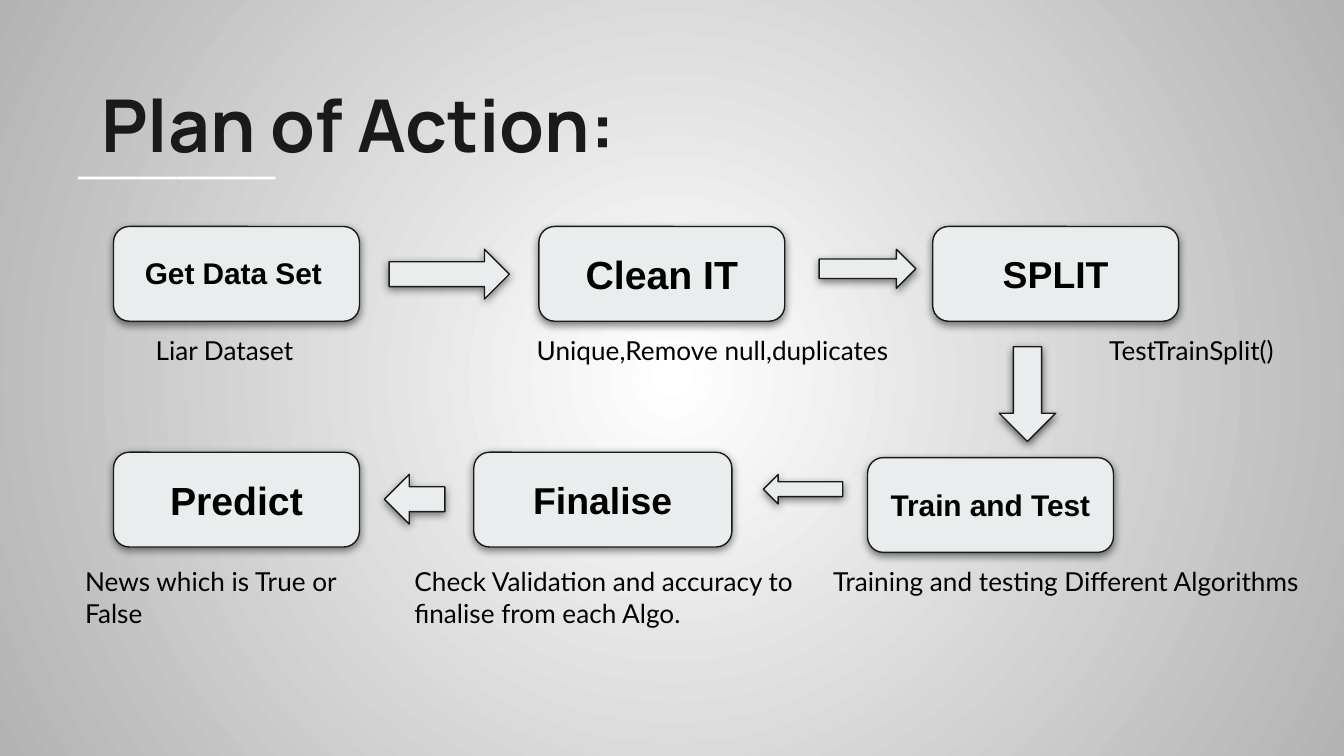
import pptx
import pptx.dml.color
import pptx.enum.shapes
import pptx.enum.text
import pptx.oxml.ns
import pptx.util
from lxml import etree

PX = 4572  # EMU per px, 200 px to the inch
SHAPES = pptx.enum.shapes.MSO_SHAPE
qn = pptx.oxml.ns.qn


def color(hex_code):
    return pptx.dml.color.RGBColor.from_string(hex_code)


class FlowSlide:
    INK, BLACK, PANEL, WHITE, EDGE = "1A1A1A", "000000", "E9EDEE", "FFFFFF", "B3B3B3"
    HEADING, LABEL, NOTE = "Manrope", "Arial", "Lato"

    def __init__(self, deck):
        self.slide = deck.slides.add_slide(deck.slide_layouts[6])

    def radial_background(self):
        fill = self.slide.background.fill
        fill.gradient()
        for stop, shade in zip(fill.gradient_stops, (self.WHITE, self.EDGE)):
            stop.color.rgb = color(shade)
        gradient = self.slide.element.find(".//" + qn("a:gradFill"))
        gradient.remove(gradient.find(qn("a:lin")))
        circle = etree.SubElement(gradient, qn("a:path"), path="circle")
        etree.SubElement(circle, qn("a:fillToRect"), l="50000", t="50000", r="50000", b="50000")

    def _shape(self, kind, box, fill):
        shape = self.slide.shapes.add_shape(kind, *(n * PX for n in box))
        shape.shadow.inherit = False
        shape.fill.solid()
        shape.fill.fore_color.rgb = color(fill)
        return shape

    def _write(self, shape, text, size, font, ink, bold):
        frame = shape.text_frame
        frame.word_wrap = True
        frame.margin_left = frame.margin_right = 20 * PX
        frame.margin_top = frame.margin_bottom = 20 * PX
        paragraph = frame.paragraphs[0]
        paragraph.text = text
        paragraph.font.size = pptx.util.Pt(size)
        paragraph.font.name = font
        paragraph.font.bold = bold
        paragraph.font.color.rgb = color(ink)
        return paragraph

    def bar(self, *box):
        self._shape(SHAPES.RECTANGLE, box, self.WHITE).line.fill.background()

    def panel(self, kind, box, shadow_percent=50):
        shape = self._shape(kind, box, self.PANEL)
        shape.line.color.rgb = color(self.INK)
        shape.line.width = pptx.util.Pt(0.75)
        effects = shape.element.spPr.find(qn("a:effectLst"))
        shadow = etree.SubElement(effects, qn("a:outerShdw"), blurRad="57150", dist="19050",
                                  dir="5400000", algn="bl", rotWithShape="0")
        tint = etree.SubElement(shadow, qn("a:srgbClr"), val=self.BLACK)
        etree.SubElement(tint, qn("a:alpha"), val=str(shadow_percent * 1000))
        return shape

    def step(self, left, top, width=366, label="", size=20):
        shape = self.panel(SHAPES.ROUNDED_RECTANGLE, (left, top, width, 141))
        if label:
            shape.text_frame.vertical_anchor = pptx.enum.text.MSO_ANCHOR.MIDDLE
            paragraph = self._write(shape, label, size, self.LABEL, self.BLACK, True)
            paragraph.alignment = pptx.enum.text.PP_ALIGN.CENTER

    def text(self, box, text, size=14, font=NOTE, ink=BLACK, bold=False):
        textbox = self.slide.shapes.add_textbox(*(n * PX for n in box))
        self._write(textbox, text, size, font, ink, bold)


def main():
    deck = pptx.Presentation()
    deck.slide_width, deck.slide_height = 2000 * PX, 1125 * PX
    flow = FlowSlide(deck)
    flow.radial_background()

    # Title and its underline
    for left in (116, 263):
        flow.bar(left, 263, 147, 4)
    flow.text((131, 98, 1682, 332), "Plan of Action:", 39, flow.HEADING, flow.INK, True)

    # Steps, in the order of the flow
    upper, lower = 337, 673
    flow.step(169, upper)
    flow.text((196, 359, 314, 94), "Get Data Set", 16, flow.LABEL, bold=True)
    flow.step(802, upper, label="Clean IT", size=21)
    flow.step(1388, upper, label="SPLIT")
    flow.step(1291, 681, label="Train and Test", size=16)
    flow.step(705, lower, 384, "Finalise")
    flow.step(169, lower, label="Predict", size=21)

    # Arrows between the steps
    flow.panel(SHAPES.RIGHT_ARROW, (579, 371, 179, 74))
    flow.panel(SHAPES.RIGHT_ARROW, (1219, 371, 144, 58))
    flow.panel(SHAPES.DOWN_ARROW, (1487, 516, 84, 141), shadow_percent=60)
    flow.panel(SHAPES.LEFT_ARROW, (1136, 706, 118, 44))
    flow.panel(SHAPES.LEFT_ARROW, (572, 706, 90, 74))

    # Notes under each row
    upper_notes, lower_notes = 478, 822
    flow.text((212, upper_notes, 314, 88), "Liar Dataset")
    flow.text((779, upper_notes, 610, 88), "Unique,Remove null,duplicates")
    flow.text((1631, upper_notes, 314, 88), "TestTrainSplit()")
    flow.text((1220, lower_notes, 738, 88), "Training and testing Different Algorithms")
    flow.text((597, lower_notes, 622, 134),
              "Check Validation and accuracy to finalise from each Algo.")
    flow.text((107, lower_notes, 418, 134), "News which is True or False")

    deck.save("out.pptx")


if __name__ == "__main__":
    main()
